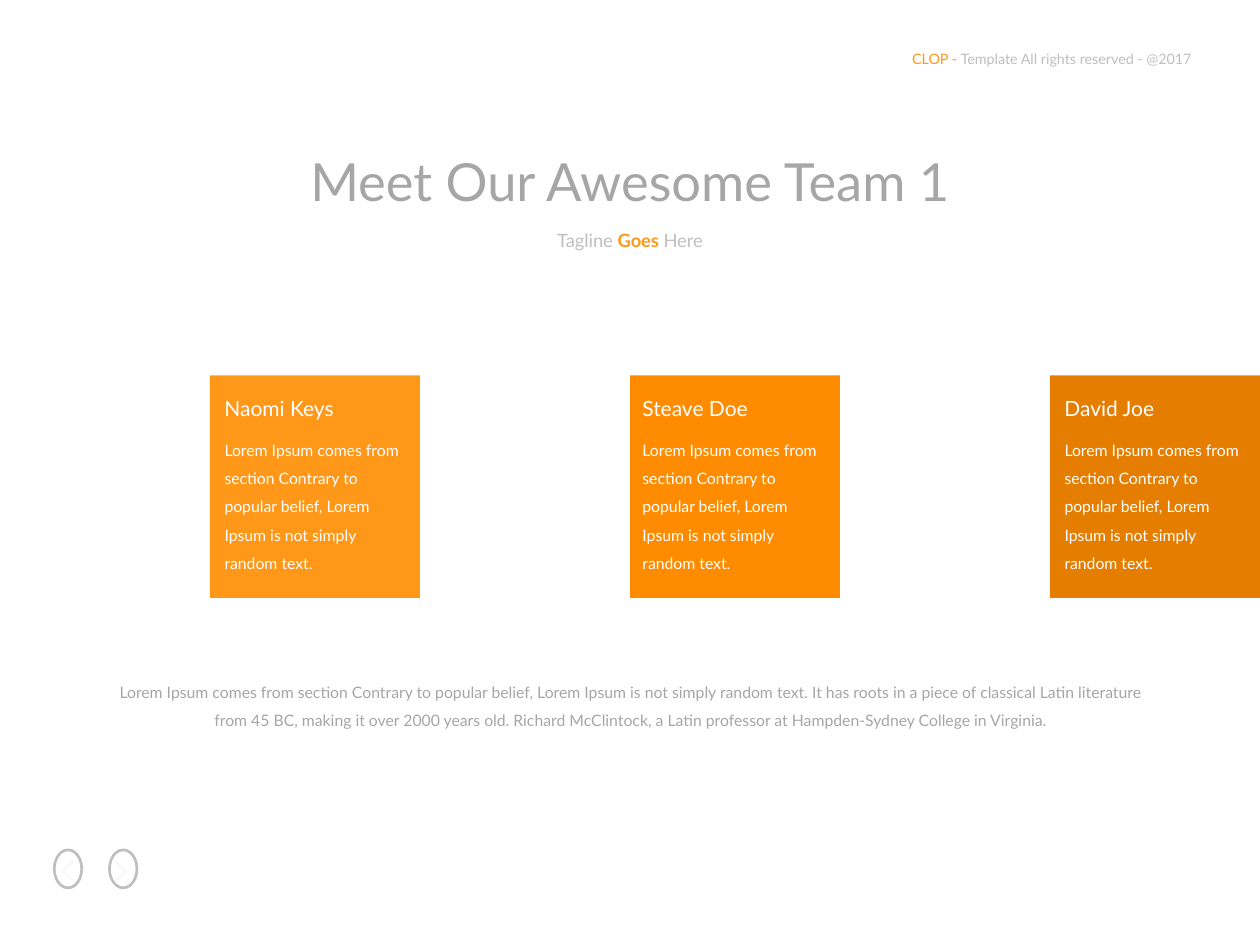
from dataclasses import dataclass
from typing import Any, NamedTuple

import pptx
import pptx.util
import pptx.dml.color
import pptx.enum.shapes
import pptx.enum.text
import pptx.oxml.ns
from lxml import etree

UNIT = pptx.util.Inches(1 / 12)  # the slide is a grid of 120 columns, 90 rows
LOREM = ("Lorem Ipsum comes from section Contrary to popular belief, "
         "Lorem Ipsum is not simply random text.")
CLOSING = (LOREM + " It has roots in a piece of classical Latin literature "
           "from 45 BC, making it over 2000 years old. Richard McClintock, a Latin "
           "professor at Hampden-Sydney College in Virginia.")


@dataclass(frozen=True)
class Theme:
    font: str = "Lato"
    accent: str = "FF9719"
    pale: str = "BFBFBF"
    grey: str = "A6A6A6"
    white: str = "FFFFFF"
    title: float = 30
    name: float = 12
    tag: float = 10.5
    body: float = 9
    foot: float = 8.2


class Box(NamedTuple):
    col: float
    row: float
    wide: float
    high: float


class Run(NamedTuple):
    text: str
    color: str
    bold: bool = False


class Card(NamedTuple):
    col: float
    name: str
    fill: str
    inset: float


THEME = Theme()
CARDS = [
    Card(20, "Naomi Keys", THEME.accent, 0.2),
    Card(60, "Steave Doe", "FF8C00", 0),
    Card(100, "David Joe", "E57E00", 0.2),
]


def scale(box: Box) -> list[int]:
    """Turn grid steps into slide lengths."""
    return [round(part * UNIT) for part in box]


def paint(shape: Any, color: str) -> None:
    shape.shadow.inherit = False
    shape.fill.solid()
    shape.fill.fore_color.rgb = pptx.dml.color.RGBColor.from_string(color)
    shape.line.fill.background()


def write(shape: Any, runs: list[Run], size: float, center: bool = False,
          wrap: bool = False, lines: float = 1) -> None:
    """Set one paragraph of runs in a box that grows with its text."""
    frame = shape.text_frame
    frame.word_wrap = wrap
    frame.auto_size = pptx.enum.text.MSO_AUTO_SIZE.SHAPE_TO_FIT_TEXT
    frame.vertical_anchor = pptx.enum.text.MSO_ANCHOR.TOP
    para = frame.paragraphs[0]
    align = pptx.enum.text.PP_ALIGN
    para.alignment = align.CENTER if center else align.LEFT
    para.line_spacing = lines
    para.space_before = pptx.util.Pt(0)
    for item in runs:
        run = para.add_run()
        run.text = item.text
        run.font.name = THEME.font
        run.font.size = pptx.util.Pt(size)
        run.font.bold = item.bold
        run.font.color.rgb = pptx.dml.color.RGBColor.from_string(item.color)


def add_text(slide: Any, box: Box, runs: list[Run], size: float, **style: Any) -> None:
    write(slide.shapes.add_textbox(*scale(box)), runs, size, **style)


def place(holder: Any, box: Box) -> None:
    holder.left, holder.top, holder.width, holder.height = scale(box)


def strip_bullet(holder: Any) -> None:
    props = holder.text_frame.paragraphs[0]._p.get_or_add_pPr()
    props.set("marL", "0")
    props.set("indent", "0")
    etree.SubElement(props, pptx.oxml.ns.qn("a:buNone"))


def add_card(slide: Any, card: Card) -> None:
    kind = pptx.enum.shapes.MSO_SHAPE.RECTANGLE
    paint(slide.shapes.add_shape(kind, *scale(Box(card.col, 35.75, 20, 21.2))), card.fill)
    left = card.col + card.inset
    add_text(slide, Box(left, 40.44, 19.8, 14.88), [Run(LOREM, THEME.white)],
             THEME.body, wrap=True, lines=1.5)
    add_text(slide, Box(left, 37.08, 13, 3.6), [Run(card.name, THEME.white)],
             THEME.name, wrap=True)


def add_arrow(slide: Any, col: float, side: int) -> None:
    """Draw a ringed chevron pointing left (-1) or right (1)."""
    row, wide, high = 82.75, 2.88, 3.88
    kind = pptx.enum.shapes.MSO_SHAPE.DONUT
    ring = slide.shapes.add_shape(kind, *scale(Box(col - wide / 2, row - high / 2, wide, high)))
    ring.adjustments[0] = 0.09
    paint(ring, THEME.pale)
    steps = [(-0.45, -0.84), (0.25, 0), (-0.45, 0.84),
             (-0.45, 1.14), (0.6, 0), (-0.45, -1.14)]
    points = [(col + side * x, row + y) for x, y in steps]
    path = slide.shapes.build_freeform(*points[0], scale=UNIT)
    path.add_line_segments(points[1:], close=True)
    paint(path.convert_to_shape(), THEME.pale)


def main() -> None:
    deck = pptx.Presentation()
    deck.slide_width, deck.slide_height = 120 * UNIT, 90 * UNIT
    slide = deck.slides.add_slide(deck.slide_layouts[1])
    title, body = slide.placeholders

    add_text(slide, Box(85.7, 4.2, 30, 2.88),
             [Run("CLOP - ", THEME.accent),
              Run("Template All rights reserved - @2017", THEME.pale)], THEME.foot)
    for col, side in ((6.48, -1), (11.74, 1)):
        add_arrow(slide, col, side)

    place(title, Box(27.25, 13.56, 65.5, 7.32))
    write(title, [Run("Meet Our Awesome Team 1", THEME.grey)], THEME.title, center=True)
    add_text(slide, Box(51.6, 21.24, 16.8, 3.36),
             [Run("Tagline ", THEME.pale), Run("Goes ", THEME.accent, True),
              Run("Here", THEME.pale)], THEME.tag, center=True)

    for card in CARDS:
        add_card(slide, card)

    place(body, Box(9, 63.5, 102, 6.72))
    strip_bullet(body)
    write(body, [Run(CLOSING, THEME.grey)], THEME.body, center=True, wrap=True, lines=1.5)
    deck.save("out.pptx")


if __name__ == "__main__":
    main()
